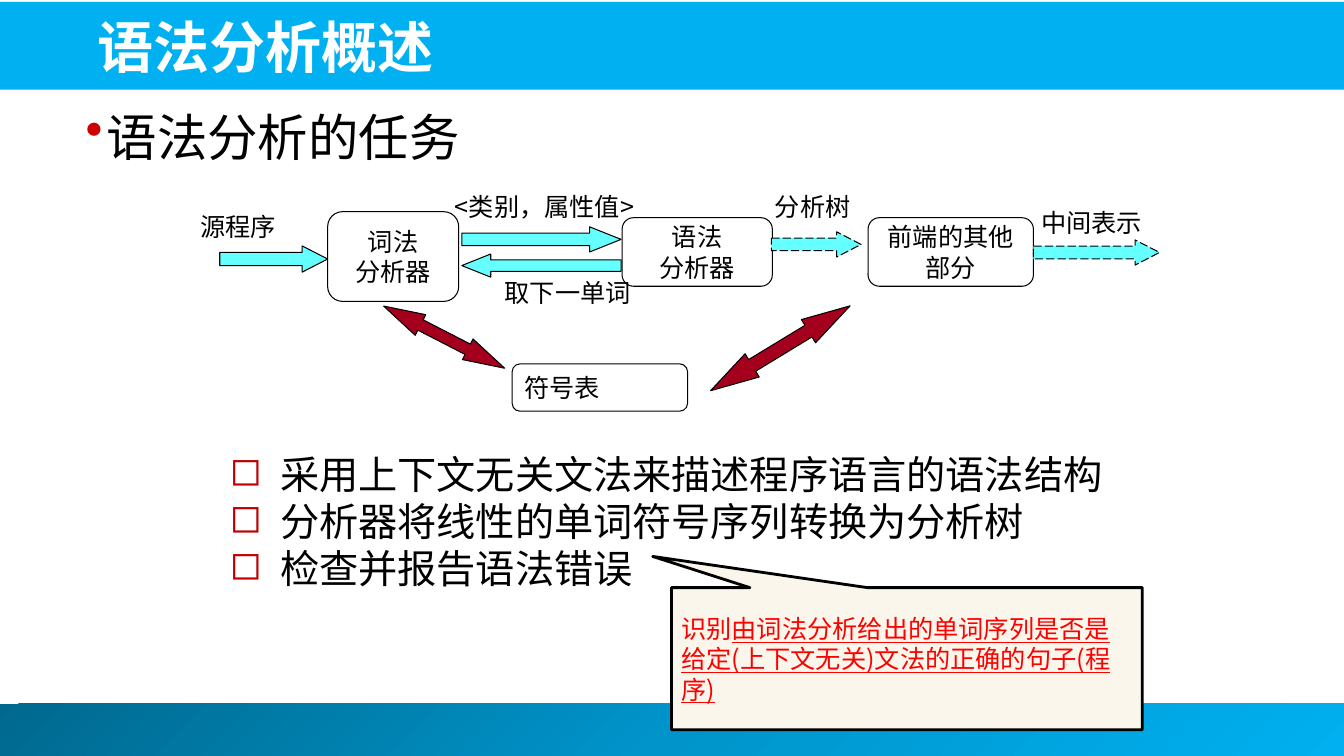
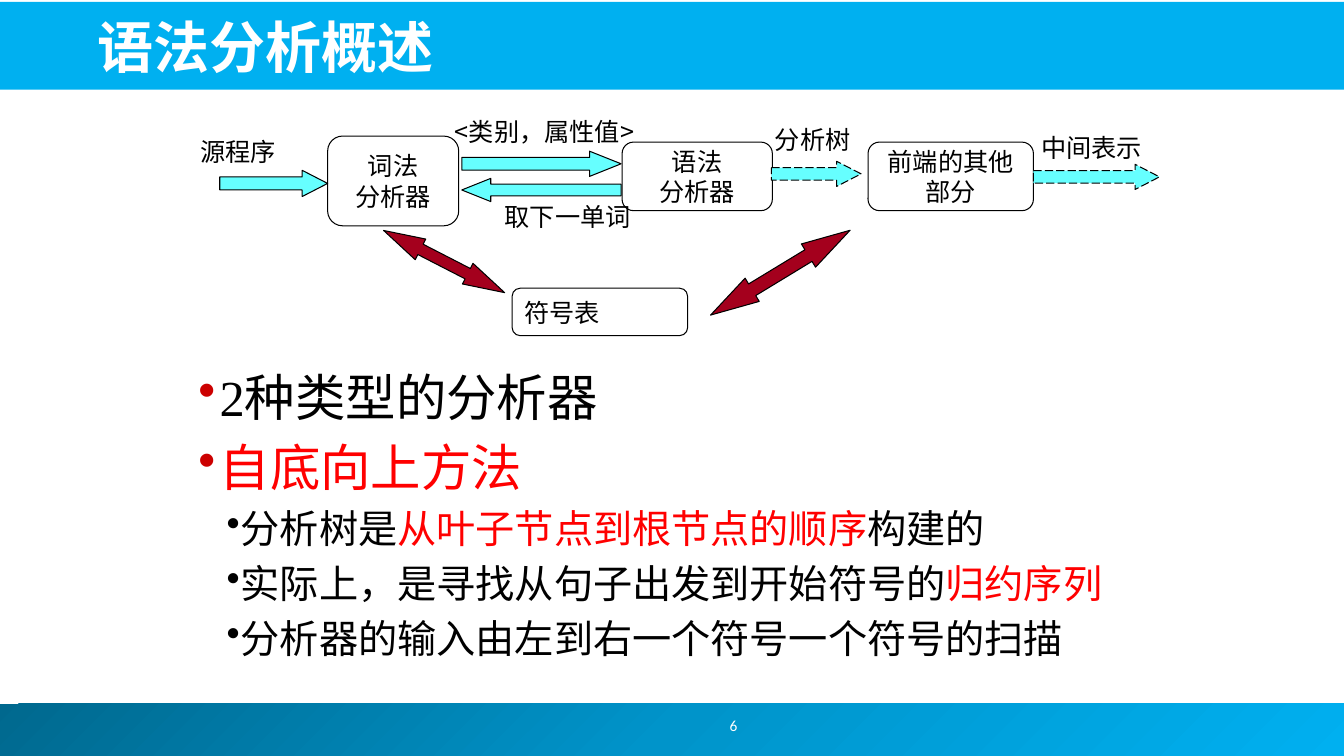
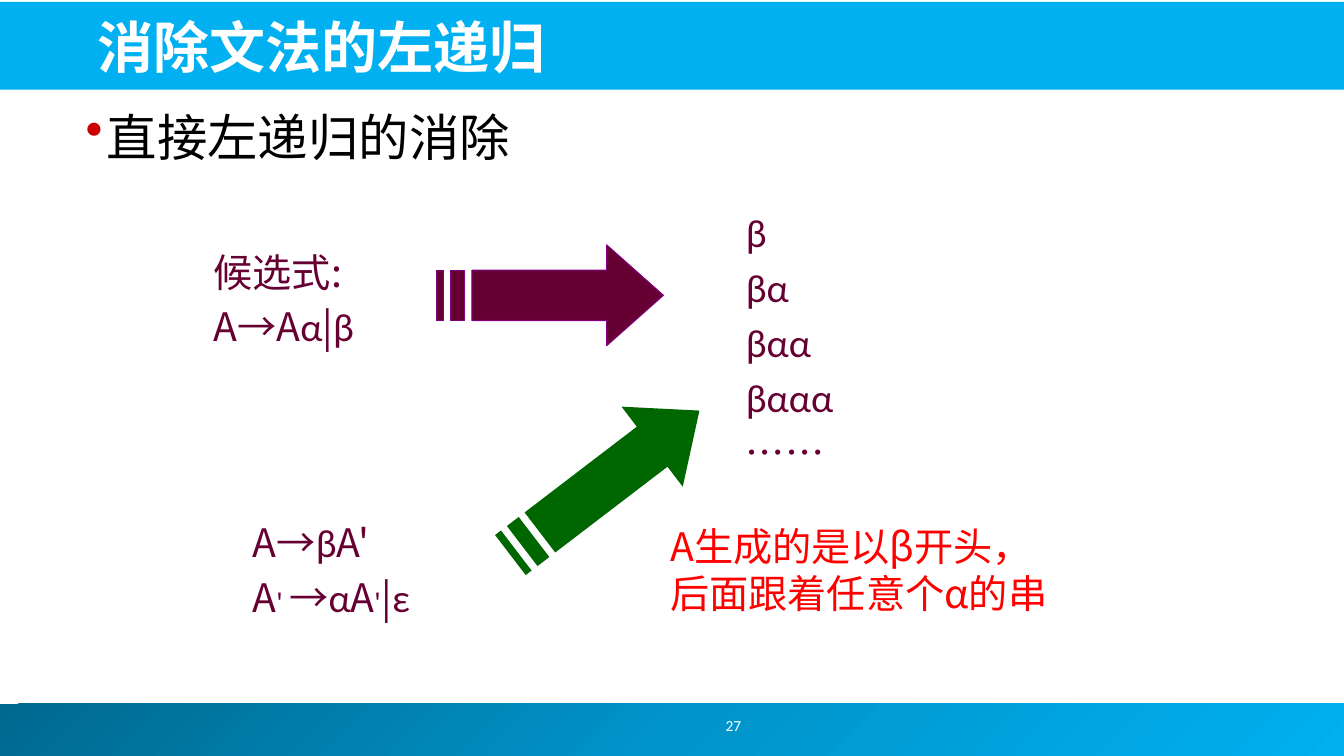
from copy import deepcopy
from dataclasses import dataclass

from lxml.etree import SubElement
from pptx import Presentation
from pptx.dml.color import RGBColor
from pptx.enum.dml import MSO_LINE
from pptx.enum.shapes import MSO_SHAPE as Shape
from pptx.enum.text import MSO_ANCHOR as Anchor, MSO_AUTO_SIZE as AutoSize, PP_ALIGN as Align
from pptx.oxml.ns import qn
from pptx.util import Inches, Pt


@dataclass(frozen=True)
class Theme:
    white: str = "FFFFFF"
    black: str = "000000"
    band: str = "00B0F0"
    footer: tuple = ("00688E", "0094CA", "00B0F0")
    bullet: str = "CC0000"
    box_bullet: str = "C00000"
    red: str = "FF0000"
    flow: str = "66FFFF"
    link: str = "A4001D"
    plum: str = "660033"
    purple: str = "800080"
    green: str = "006600"
    cream: str = "FAF6EB"
    sans: str = "Noto Sans CJK JP"
    serif: str = "Times New Roman"
    latin: str = "Calibri"
    title_size: int = 40
    head_size: int = 36
    body_size: int = 28
    label_size: int = 18
    number_size: int = 11


THEME = Theme()

# Content: a paragraph is a string or a list of (text, run style) pairs
RED = {"color": THEME.red}
GREEK = {"name": THEME.latin}
SMALL = {"size": THEME.label_size}
OVERVIEW = "语法分析概述"
TASK = ["语法分析的任务"]
TASK_POINTS = ["采用上下文无关文法来描述程序语言的语法结构", "分析器将线性的单词符号序列转换为分析树", "检查并报告语法错误"]
CALLOUT = [[("识别", {}), ("由词法分析给出的单词序列是否是给定(上下文无关)文法的正确的句子(程序)", {"underline": True})]]
PARSER_TYPES = ["2种类型的分析器", [("自底向上方法", RED)]]
BOTTOM_UP = [
    [("分析树是", {}), ("从叶子节点到根节点的顺序", RED), ("构建的", {})],
    [("实际上，是寻找从句子出发到开始符号的", {}), ("归约序列", RED)],
    "分析器的输入由左到右一个符号一个符号的扫描",
]
RECURSION = "消除文法的左递归"
DIRECT = ["直接左递归的消除"]
CANDIDATE = ["候选式:", [("A→A", {}), ("α", GREEK), ("|", {}), ("β", GREEK)]]
REWRITTEN = [
    [("A→", {}), ("β", GREEK), ("A'", {})],
    [("A", {}), ("' ", SMALL), ("→", {}), ("α", GREEK), ("A", {}), ("'", SMALL), ("|", {}), ("ε", GREEK)],
]
STRINGS = [[("β" + "α" * count, GREEK)] for count in range(4)] + ["……"]
SUMMARY = ["A生成的是以β开头，后面跟着任意个α的串"]

# Diagram parts, measured from the diagram's top: left, top, width, height
BOXES = [
    (["词法", "分析器"], (3.25, 0.25, 1.3, 0.89), Align.CENTER),
    (["语法", "分析器"], (6.17, 0.31, 1.49, 0.68), Align.CENTER),
    (["前端的其他部分"], (8.61, 0.31, 1.64, 0.68), Align.CENTER),
    (["符号表"], (5.08, 1.76, 1.74, 0.47), Align.LEFT),
]
FLOWS = [
    (Shape.RIGHT_ARROW, (2.18, 0.59, 1.07, 0.26), 0.97, False),
    (Shape.RIGHT_ARROW, (4.58, 0.4, 1.58, 0.25), 1.25, False),
    (Shape.LEFT_ARROW, (4.58, 0.67, 1.58, 0.23), 1.25, False),
    (Shape.RIGHT_ARROW, (10.25, 0.53, 1.25, 0.25), 0.97, True),
]
LABELS = [
    ("源程序", (1.81, 0.2, 1.1, 0.4)),
    ("<类别，属性值>", (4.33, 0, 2.14, 0.4)),
    ("取下一单词", (4.78, 0.85, 1.7, 0.4)),
    ("中间表示", (10.15, 0.16, 1.35, 0.4)),
]
TABLE_LINKS = [((3.73, 1.38, 1.35, 0.23), 27.2), ((6.93, 1.47, 1.62, 0.27), -31.3)]


def rgb(value):
    return RGBColor.from_string(value)


def style_run(span, size, color, name=THEME.sans, bold=None, underline=None):
    font = span.font
    font.size, font.name, font.bold, font.underline = Pt(size), name, bold, underline
    font.color.rgb = rgb(color)
    SubElement(span.font._element, qn("a:ea"), typeface=THEME.sans)


def add_bullet(para, char, color, left, hanging):
    props = para._p.get_or_add_pPr()
    props.set("marL", str(Inches(left)))
    props.set("indent", str(-Inches(hanging)))
    fill = SubElement(props, qn("a:buClr"))
    SubElement(fill, qn("a:srgbClr"), val=color)
    SubElement(props, qn("a:buChar"), char=char)


def write(frame, paragraphs, size=THEME.body_size, color=THEME.black, name=THEME.sans,
          align=Align.LEFT, gap=0.0, bullet=None, more=False, bold=None):
    """Write paragraphs; gap is the space before, as a share of the type size."""
    for index, content in enumerate(paragraphs):
        first = index == 0 and not more
        para = frame.paragraphs[0] if first else frame.add_paragraph()
        if bullet:
            add_bullet(para, *bullet)
        para.alignment = align
        if gap and not first:
            para.space_before = Pt(size * gap)
        pieces = [(content, {})] if isinstance(content, str) else content
        for text, changes in pieces:
            span = para.add_run()
            span.text = text
            style_run(span, **{"size": size, "color": color, "name": name, "bold": bold, **changes})


def add_text(page, at, paragraphs, anchor=Anchor.TOP, wrap=True, **style):
    box = page.shapes.add_textbox(*map(Inches, at))
    box.text_frame.word_wrap = wrap
    box.text_frame.vertical_anchor = anchor
    write(box.text_frame, paragraphs, **style)
    return box


def paint(shape, fill=None, line=None, width=0.75):
    shape.shadow.inherit = False
    if fill:
        shape.fill.solid()
        shape.fill.fore_color.rgb = rgb(fill)
    else:
        shape.fill.background()
    if line:
        shape.line.color.rgb = rgb(line)
        shape.line.width = Pt(width)
    else:
        shape.line.fill.background()
    return shape


def add_preset(page, kind, at, adjust=(), **colors):
    shape = page.shapes.add_shape(kind, *map(Inches, at))
    for index, value in enumerate(adjust):
        shape.adjustments[index] = value
    return paint(shape, **colors)


def add_bands(layout, page):
    """Draw the footer and title bands and move them to the shared layout."""
    footer = add_preset(page, Shape.RECTANGLE, (-0.05, 6.98, 13.39, 0.52), fill=THEME.band)
    footer.fill.gradient()
    footer.fill.gradient_angle = 315
    stops = footer.element.spPr.find(qn("a:gradFill")).find(qn("a:gsLst"))
    stops.insert(1, deepcopy(stops[0]))
    for stop, place, color in zip(footer.fill.gradient_stops, (0, 0.5, 1), THEME.footer):
        stop.position = place
        stop.color.rgb = rgb(color)
    header = add_preset(page, Shape.RECTANGLE, (-0.02, 0.02, 13.36, 0.87), fill=THEME.band)
    for index, band in enumerate((footer, header)):
        layout.shapes._spTree.insert(2 + index, band.element)


def add_page(deck, title, number=None):
    layout = deck.slide_layouts[5]
    page = deck.slides.add_slide(layout)
    if len(deck.slides) == 1:
        add_bands(layout, page)
    holder = page.shapes.title
    holder.left, holder.top, holder.width, holder.height = map(Inches, (0.87, 0.05, 12.06, 0.79))
    holder.text_frame.vertical_anchor = Anchor.BOTTOM
    holder.text_frame.auto_size = AutoSize.NONE
    write(holder.text_frame, [title], THEME.title_size, THEME.white, bold=True)
    if number:
        add_text(page, (5.83, 6.95, 2.89, 0.5), [number], Anchor.MIDDLE, size=THEME.number_size,
                 color=THEME.white, name=THEME.latin, align=Align.CENTER)
    return page


def add_heading(page, at, paragraphs):
    return add_text(page, at, paragraphs, size=THEME.head_size, name=THEME.serif, gap=0.2,
                    bullet=("•", THEME.bullet, 0.21, 0.21))


def add_diagram(page, top, label_drop=0.0, arrow_drop=0.0):
    """Draw the compiler front end; the drops lower the parse tree's label and arrow."""
    def lower(at):
        return at[0], at[1] + top, at[2], at[3]

    tree_flow = (Shape.RIGHT_ARROW, (7.65, 0.45 + arrow_drop, 0.89, 0.25), 0.97, True)
    tree_label = ("分析树", (7.54, label_drop, 1.04, 0.4))
    for lines, at, align in BOXES:
        box = add_preset(page, Shape.ROUNDED_RECTANGLE, lower(at), line=THEME.black)
        box.text_frame.vertical_anchor = Anchor.MIDDLE
        write(box.text_frame, lines, THEME.label_size, align=align)
    for kind, at, head, dashed in FLOWS + [tree_flow]:
        arrow = add_preset(page, kind, lower(at), (0.5, head), fill=THEME.flow, line=THEME.black)
        if dashed:
            arrow.line.dash_style = MSO_LINE.LONG_DASH
    for at, angle in TABLE_LINKS:
        arrow = add_preset(page, Shape.LEFT_RIGHT_ARROW, lower(at), (0.5, 1.79),
                           fill=THEME.link, line=THEME.black)
        arrow.rotation = angle
    for text, at in LABELS + [tree_label]:
        add_text(page, lower(at), [text], size=THEME.label_size, align=Align.CENTER)


def add_striped_arrow(page, at, angle=0.0, **colors):
    left, top, width, height = at
    # Outlines as shares of width and height: head with shaft, then two stripes
    head = [(0.75, 0), (0.75, 0.25), (5 / 32, 0.25), (5 / 32, 0.75), (0.75, 0.75), (0.75, 1), (1, 0.5)]
    stripes = [[(a, 0.25), (a, 0.75), (b, 0.75), (b, 0.25)] for a, b in ((1 / 16, 1 / 8), (0, 1 / 32))]
    builder = None
    for outline in [head] + stripes:
        points = [(Inches(left + x * width), Inches(top + y * height)) for x, y in outline]
        if builder is None:
            builder = page.shapes.build_freeform(*points[0])
        else:
            builder.move_to(*points[0])
        builder.add_line_segments(points[1:], close=True)
    arrow = paint(builder.convert_to_shape(), **colors)
    arrow.rotation = angle


def build_task(deck):
    page = add_page(deck, OVERVIEW)
    add_heading(page, (0.75, 1, 10.58, 0.74), TASK)
    add_diagram(page, 1.85)
    add_text(page, (2.18, 4.42, 8.95, 1.51), TASK_POINTS, bullet=("◻", THEME.box_bullet, 0.5, 0.5))
    callout = add_preset(page, Shape.RECTANGULAR_CALLOUT, (6.66, 5.83, 4.67, 1.41), (-0.54, -0.72),
                         fill=THEME.cream, line=THEME.black, width=2)
    callout.text_frame.vertical_anchor = Anchor.MIDDLE
    write(callout.text_frame, CALLOUT, THEME.label_size, THEME.red)


def build_bottom_up(deck):
    page = add_page(deck, OVERVIEW, "6")
    add_diagram(page, 1.1, label_drop=0.08, arrow_drop=0.05)
    body = add_heading(page, (1.87, 3.58, 9.65, 3.5), PARSER_TYPES)
    write(body.text_frame, BOTTOM_UP, name=THEME.serif, gap=0.2, more=True,
          bullet=("•", THEME.black, 0.42, 0.14))


def build_recursion(deck):
    page = add_page(deck, RECURSION, "27")
    add_heading(page, (0.75, 1, 10.58, 0.74), DIRECT)
    for at, paragraphs in (((2.02, 2.41, 3.46, 1.13), CANDIDATE), ((7.3, 2.02, 2.28, 2.81), STRINGS),
                           ((2.41, 5.09, 2.52, 1.13), REWRITTEN)):
        add_text(page, at, paragraphs, color=THEME.plum, gap=0.2)
    add_striped_arrow(page, (4.33, 2.43, 2.25, 1), fill=THEME.plum, line=THEME.purple)
    add_striped_arrow(page, (4.82, 4.29, 2.36, 1), -37.4, fill=THEME.green)
    add_text(page, (6.55, 5.13, 4.12, 1.04), SUMMARY, color=THEME.red)


def main():
    deck = Presentation()
    deck.slide_width, deck.slide_height = Inches(13.33), Inches(7.5)
    for build in (build_task, build_bottom_up, build_recursion):
        build(deck)
    deck.save("out.pptx")


if __name__ == "__main__":
    main()
